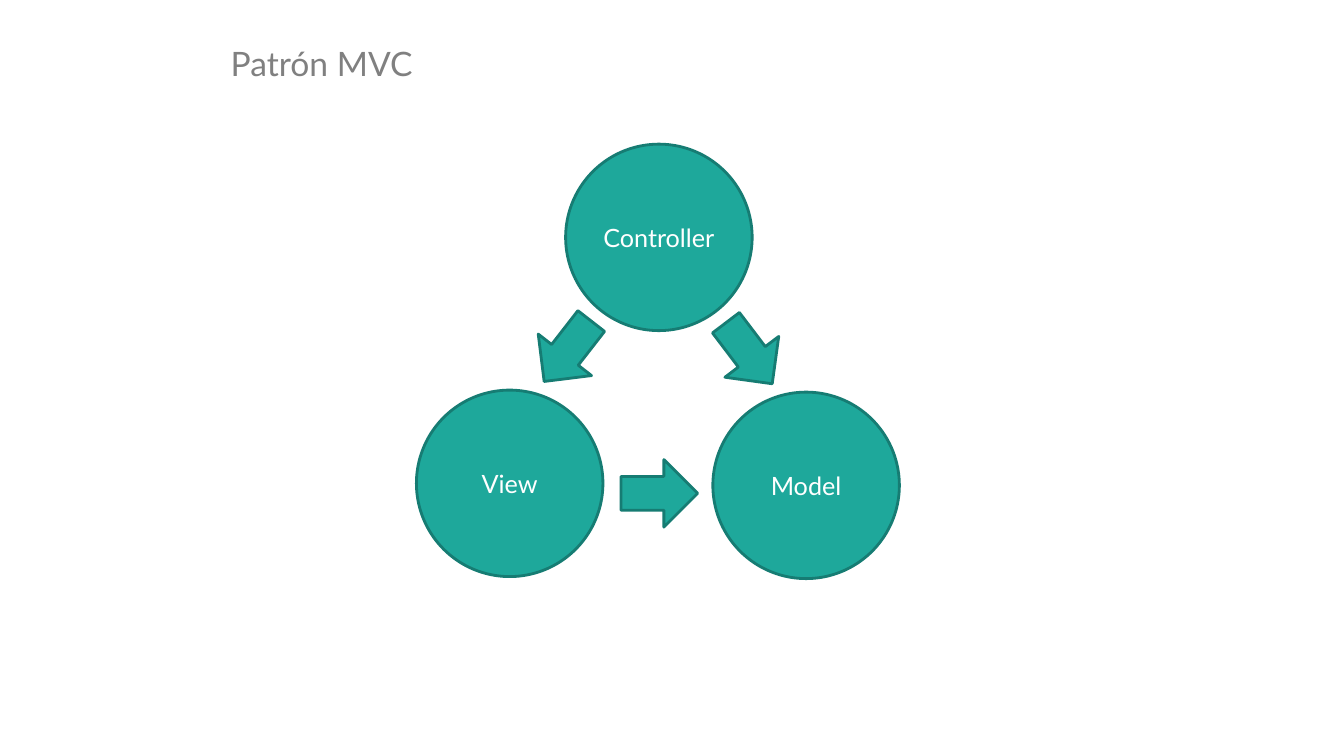
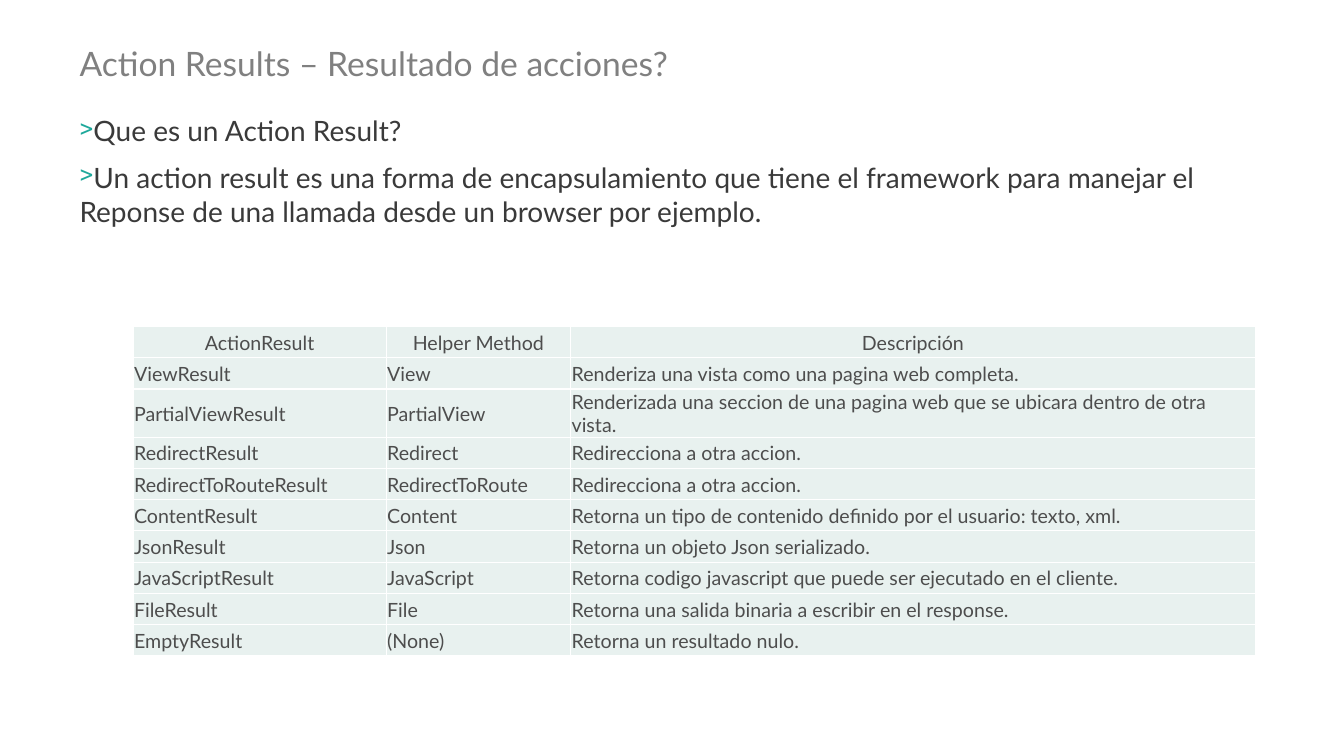
from pptx import Presentation
from pptx.dml.color import RGBColor
from pptx.enum.shapes import MSO_SHAPE
from pptx.enum.text import MSO_ANCHOR, PP_ALIGN
from pptx.oxml import parse_xml
from pptx.oxml.ns import nsdecls
from pptx.util import Inches, Pt

OVAL, ARROW = MSO_SHAPE.OVAL, MSO_SHAPE.RIGHT_ARROW
LEFT, CENTER = PP_ALIGN.LEFT, PP_ALIGN.CENTER
TOP, MIDDLE = MSO_ANCHOR.TOP, MSO_ANCHOR.MIDDLE

FONT = "Lato"
TEAL = RGBColor(0x1E, 0xA8, 0x9B)
DARK_TEAL = RGBColor(0x16, 0x7C, 0x73)
PALE_TEAL = RGBColor(0xE8, 0xF1, 0xEF)
WHITE = RGBColor(0xFF, 0xFF, 0xFF)
TITLE_GRAY = RGBColor(0x80, 0x80, 0x80)
BODY_GRAY = RGBColor(0x3A, 0x3A, 0x3A)
TABLE_GRAY = RGBColor(0x4D, 0x4D, 0x4D)

MVC_TITLE = "Patrón MVC"
CIRCLE_SIZE = 1.85
CIRCLES = [("Controller", 5.61, 1.43), ("View", 4.13, 3.87), ("Model", 7.07, 3.89)]
ARROW_WIDTH, ARROW_HEIGHT = 0.76, 0.67
ARROWS = [(5.25, 3.15, 127.9), (7.05, 3.17, 52.8), (6.16, 4.56, 0)]

RESULTS_TITLE = "Action Results – Resultado de acciones?"
EXPLANATION = [
    "Que es un Action Result?",
    "Un action result es una forma de encapsulamiento que tiene el framework "
    "para manejar el Reponse de una llamada desde un browser por ejemplo.",
]
COLUMN_WIDTHS = [2.51, 1.83, 6.79]
ROW_HEIGHT, TALL_ROW, TALL_HEIGHT = 0.31, 2, 0.42
RESULTS = [
    ("ActionResult", "Helper Method", "Descripción"),
    ("ViewResult", "View", "Renderiza una vista como una pagina web completa."),
    ("PartialViewResult", "PartialView",
     "Renderizada una seccion de una pagina web que se ubicara dentro de otra vista."),
    ("RedirectResult", "Redirect", "Redirecciona a otra accion."),
    ("RedirectToRouteResult", "RedirectToRoute", "Redirecciona a otra accion."),
    ("ContentResult", "Content",
     "Retorna un tipo de contenido definido por el usuario: texto, xml."),
    ("JsonResult", "Json", "Retorna un objeto Json serializado."),
    ("JavaScriptResult", "JavaScript",
     "Retorna codigo javascript que puede ser ejecutado en el cliente."),
    ("FileResult", "File", "Retorna una salida binaria a escribir en el response."),
    ("EmptyResult", "(None)", "Retorna un resultado nulo."),
]


def write(frame, *lines, size, color, align=LEFT, anchor=TOP, bullet=None):
    frame.word_wrap = True
    frame.vertical_anchor = anchor
    for index, line in enumerate(lines):
        paragraph = frame.paragraphs[0] if index == 0 else frame.add_paragraph()
        paragraph.alignment = align
        run = paragraph.add_run()
        run.text = line
        run.font.name = FONT
        run.font.size = Pt(size)
        run.font.color.rgb = color
        if bullet:
            add_bullet(paragraph, bullet)


def add_bullet(paragraph, mark):
    paragraph.space_before, paragraph.space_after = Pt(1.3), Pt(8)
    properties = paragraph._p.get_or_add_pPr()
    properties.set("marL", "0")
    properties.set("indent", str(Inches(-0.26)))
    for xml in (
        f'<a:buClr {nsdecls("a")}><a:srgbClr val="{TEAL}"/></a:buClr>',
        f'<a:buSzPct {nsdecls("a")} val="85000"/>',
        f'<a:buChar {nsdecls("a")} char="{mark}"/>',
    ):
        properties.append(parse_xml(xml))


def add_text(slide, left, top, width, height, *lines, **style):
    box = slide.shapes.add_textbox(*map(Inches, (left, top, width, height)))
    write(box.text_frame, *lines, **style)


def add_titled_slide(deck, title, left, width):
    slide = deck.slides.add_slide(deck.slide_layouts[6])
    add_text(slide, left, 0.38, width, 0.32, title, size=24, color=TITLE_GRAY)
    return slide


def add_teal_shape(slide, kind, left, top, width, height):
    shape = slide.shapes.add_shape(kind, *map(Inches, (left, top, width, height)))
    shape.shadow.inherit = False
    shape.fill.solid()
    shape.fill.fore_color.rgb = TEAL
    shape.line.color.rgb = DARK_TEAL
    shape.line.width = Pt(2)
    return shape


def format_cell(cell):
    cell.margin_left = cell.margin_right = cell.margin_top = Inches(0.01)
    cell.margin_bottom = 0
    cell.vertical_anchor = MIDDLE
    properties = cell._tc.get_or_add_tcPr()
    for side in ("lnL", "lnR", "lnT", "lnB"):
        properties.append(parse_xml(
            f'<a:{side} {nsdecls("a")} w="{Pt(1)}"><a:solidFill>'
            f'<a:srgbClr val="{WHITE}"/></a:solidFill></a:{side}>'))
    cell.fill.solid()
    cell.fill.fore_color.rgb = PALE_TEAL


def build_mvc(deck):
    slide = add_titled_slide(deck, MVC_TITLE, 2.19, 9.24)
    for name, left, top in CIRCLES:
        circle = add_teal_shape(slide, OVAL, left, top, CIRCLE_SIZE, CIRCLE_SIZE)
        write(circle.text_frame, name, size=18, color=WHITE, align=CENTER, anchor=MIDDLE)
    for left, top, angle in ARROWS:
        arrow = add_teal_shape(slide, ARROW, left, top, ARROW_WIDTH, ARROW_HEIGHT)
        arrow.rotation = angle


def build_results(deck):
    slide = add_titled_slide(deck, RESULTS_TITLE, 0.69, 12.32)
    add_text(slide, 0.69, 1.08, 12.01, 1.87, *EXPLANATION,
             size=20, color=BODY_GRAY, bullet=">")
    heights = [TALL_HEIGHT if row == TALL_ROW else ROW_HEIGHT
               for row in range(len(RESULTS))]
    table = slide.shapes.add_table(
        len(RESULTS), len(COLUMN_WIDTHS), Inches(1.32), Inches(3.24),
        Inches(sum(COLUMN_WIDTHS)), Inches(sum(heights))).table
    table.first_row = table.horz_banding = False
    for column, width in zip(table.columns, COLUMN_WIDTHS):
        column.width = Inches(width)
    for row_index, (row, height, texts) in enumerate(zip(table.rows, heights, RESULTS)):
        row.height = Inches(height)
        for cell, text in zip(row.cells, texts):
            format_cell(cell)
            write(cell.text_frame, text, size=14, color=TABLE_GRAY, anchor=MIDDLE,
                  align=CENTER if row_index == 0 else LEFT)


def main():
    deck = Presentation()
    deck.slide_width, deck.slide_height = Inches(13.33), Inches(7.5)
    build_mvc(deck)
    build_results(deck)
    deck.save("out.pptx")


if __name__ == "__main__":
    main()
